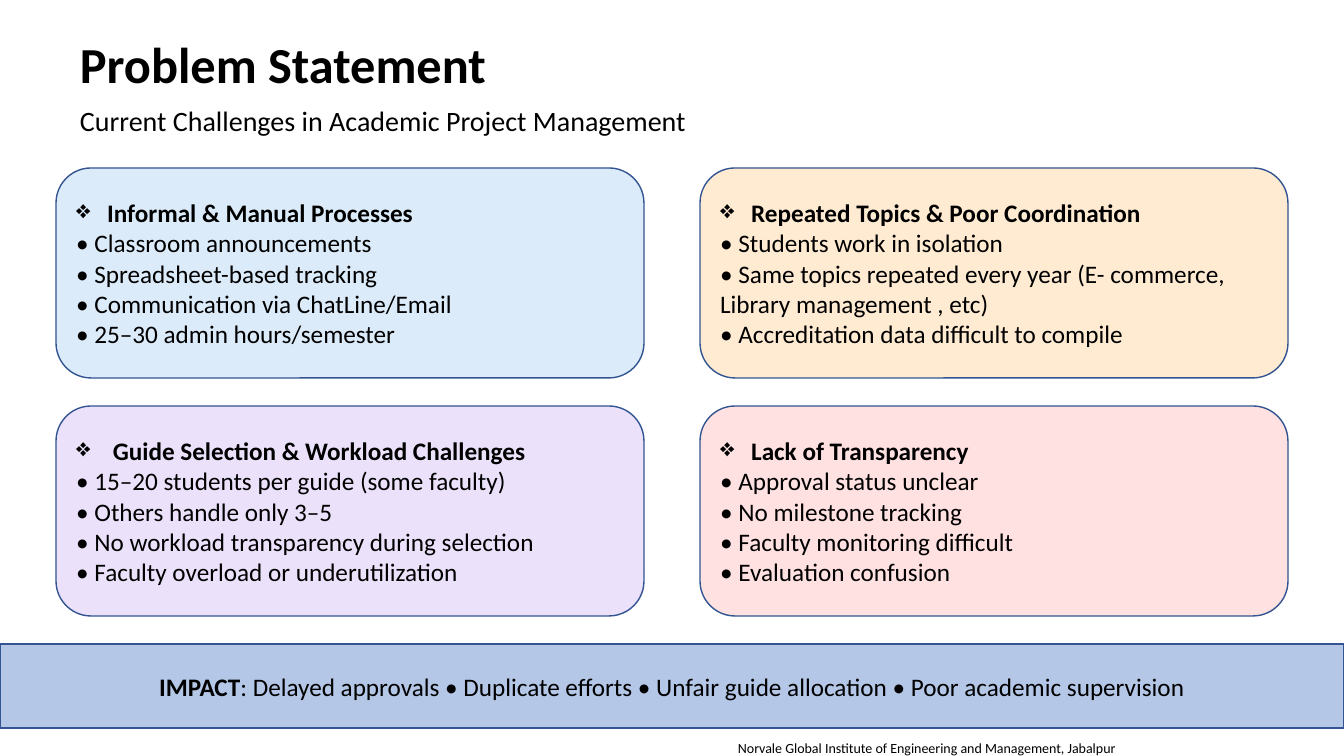
from lxml.etree import SubElement
from pptx import Presentation
from pptx.dml.color import RGBColor
from pptx.enum.shapes import MSO_SHAPE as Shape
from pptx.enum.text import MSO_ANCHOR as Anchor, PP_ALIGN as Align
from pptx.oxml.ns import qn
from pptx.util import Pt

# Content
TITLE = "Problem Statement"
SUB = "Current Challenges in Academic Project Management"
CARDS = [
    ("DCEBFA", "Informal & Manual Processes", [
        "Classroom announcements",
        "Spreadsheet-based tracking",
        "Communication via ChatLine/Email",
        "25–30 admin hours/semester"]),
    ("FFEBD2", "Repeated Topics & Poor Coordination", [
        "Students work in isolation",
        "Same topics repeated every year (E- commerce, Library management , etc)",
        "Accreditation data difficult to compile"]),
    ("EBE1FA", " Guide Selection & Workload Challenges", [
        "15–20 students per guide (some faculty)",
        "Others handle only 3–5",
        "No workload transparency during selection",
        "Faculty overload or underutilization"]),
    ("FFE1E1", "Lack of Transparency", [
        "Approval status unclear",
        "No milestone tracking",
        "Faculty monitoring difficult",
        "Evaluation confusion"]),
]
IMPACT = ["Delayed approvals", "Duplicate efforts",
          "Unfair guide allocation", "Poor academic supervision"]
FOOT = "Norvale Global Institute of Engineering and Management, Jabalpur"

# Layout in px
WIDE, HIGH = 1344, 756
LEFT, TOP = 56, 168
CARD_W, CARD_H = 588, 210
GAP_X, GAP_Y = 56, 28
INDENT = 31
FONT, INK, EDGE = "Calibri", "000000", "325491"


def px(n):
    return round(n * 12192000 / WIDE)


def color(code):
    return RGBColor.from_string(code)


def style(par, size, bold=False):
    font = par.font
    font.name, font.size, font.bold = FONT, Pt(size), bold
    font.color.rgb = color(INK)


def label(text, x, y, w, h, size, bold=False):
    frame = slide.shapes.add_textbox(px(x), px(y), px(w), px(h)).text_frame
    frame.word_wrap = True
    par = frame.paragraphs[0]
    par.text = text
    style(par, size, bold)


def panel(kind, fill, x, y, w, h):
    box = slide.shapes.add_shape(kind, px(x), px(y), px(w), px(h))
    box.shadow.inherit = False
    box.fill.solid()
    box.fill.fore_color.rgb = color(fill)
    box.line.color.rgb = color(EDGE)
    box.line.width = Pt(1)
    frame = box.text_frame
    frame.word_wrap = True
    frame.vertical_anchor = Anchor.MIDDLE
    return frame


def bullet(par, mark):
    props = par._p.get_or_add_pPr()
    props.set("marL", str(px(INDENT)))
    props.set("indent", str(-px(INDENT)))
    SubElement(props, qn("a:buChar")).set("char", mark)


deck = Presentation()
deck.slide_width, deck.slide_height = px(WIDE), px(HIGH)
slide = deck.slides.add_slide(deck.slide_layouts[6])

# Heading
label(TITLE, 70, 28, 1204, 72, 36, True)
label(SUB, 70, 99, 1204, 44, 20)

# Cards, two per row
for i, (fill, head, items) in enumerate(CARDS):
    row, col = divmod(i, 2)
    frame = panel(Shape.ROUNDED_RECTANGLE, fill,
                  LEFT + col * (CARD_W + GAP_X), TOP + row * (CARD_H + GAP_Y),
                  CARD_W, CARD_H)
    par = frame.paragraphs[0]
    par.text = head
    par.alignment = Align.LEFT
    style(par, 18, True)
    bullet(par, "❖")
    for item in items:
        par = frame.add_paragraph()
        par.text = "• " + item
        par.alignment = Align.LEFT
        style(par, 18)

# Impact band
par = panel(Shape.RECTANGLE, "B4C7E7", 0, 644, WIDE, 84).paragraphs[0]
par.alignment = Align.CENTER
style(par, 18)
lead = par.add_run()
lead.text = "IMPACT"
lead.font.bold = True
par.add_run().text = ": " + " • ".join(IMPACT)

# Footer
label(FOOT, 728, 735, 588, 27, 10)

deck.save("out.pptx")
